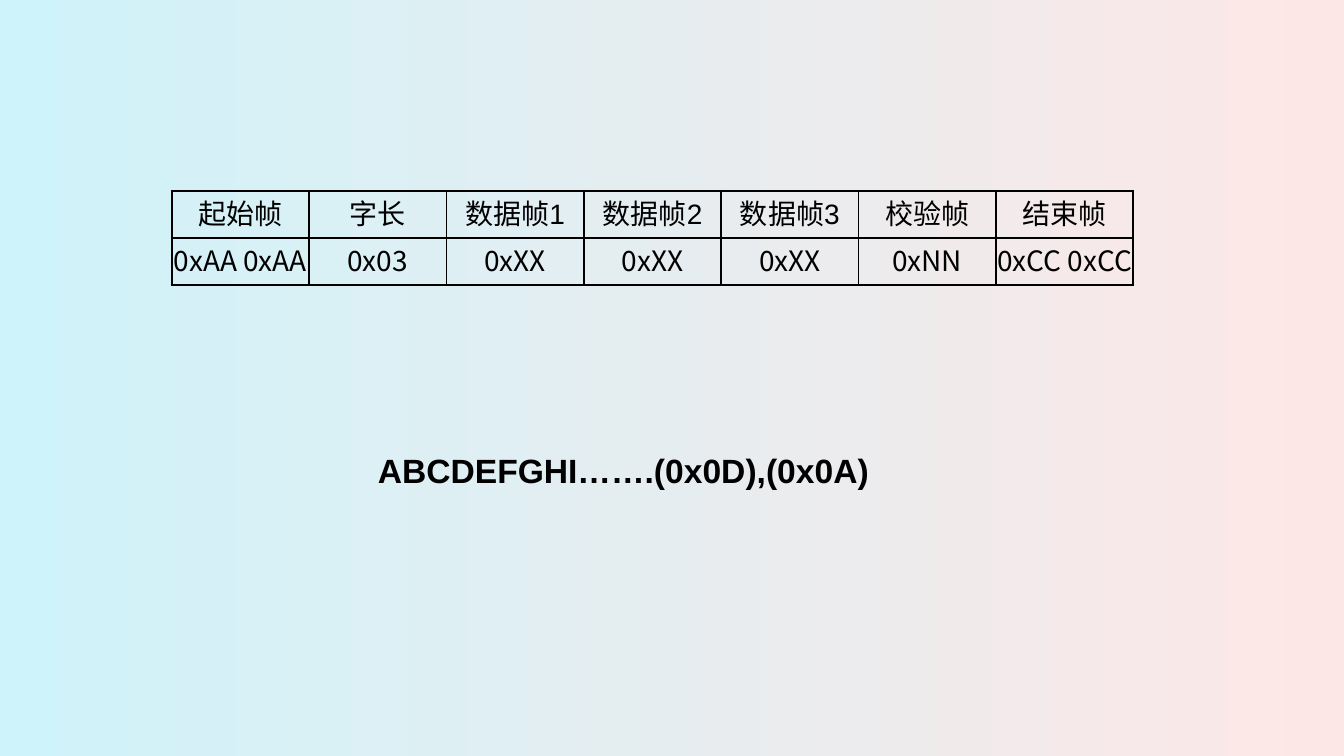
from lxml.etree import SubElement
from pptx import Presentation
from pptx.dml.color import RGBColor
from pptx.enum.text import MSO_ANCHOR, MSO_AUTO_SIZE, PP_ALIGN
from pptx.oxml import parse_xml
from pptx.oxml.ns import nsdecls, qn
from pptx.util import Pt

BLACK = RGBColor(0x00, 0x00, 0x00)
CYAN = RGBColor(0xCF, 0xF3, 0xFA)
PINK = RGBColor(0xFD, 0xE7, 0xE6)
LATIN = "Arial"
HAN = "Noto Sans CJK SC"
HEADS = ["起始帧", "字长", "数据帧1", "数据帧2", "数据帧3", "校验帧", "结束帧"]
BYTES = ["0xAA 0xAA", "0x03", "0xXX", "0xXX", "0xXX", "0xNN", "0xCC 0xCC"]


def write(frame, text, size=20, face=LATIN, bold=False, align=PP_ALIGN.LEFT):
    """Put one formatted line of text into a text frame."""
    line = frame.paragraphs[0]
    line.alignment = align
    run = line.add_run()
    run.text = text
    font = run.font
    font.size, font.name, font.bold = Pt(size), face, bold
    font.color.rgb = BLACK
    SubElement(run._r.get_or_add_rPr(), qn("a:ea")).set("typeface", HAN)


class Deck:
    """Hold the style and the current slide."""

    def __init__(self, slide, edge=1.5):
        """Keep the slide and the table line width."""
        self.slide = slide
        self.edge = edge

    def fade(self, start, end):
        """Fill the background from left to right."""
        fill = self.slide.background.fill
        fill.gradient()
        fill.gradient_angle = 0
        for stop, tone in zip(fill.gradient_stops, (start, end)):
            stop.color.rgb = tone

    def frame(self, cell):
        """Draw all four borders of a cell."""
        props = cell._tc.get_or_add_tcPr()
        for spot, side in enumerate(("lnL", "lnR", "lnT", "lnB")):
            props.insert(spot, parse_xml(
                f'<a:{side} {nsdecls("a")} w="{Pt(self.edge)}"><a:solidFill>'
                f'<a:srgbClr val="{BLACK}"/></a:solidFill></a:{side}>'))

    def table(self, rows, faces, left, top, width, height):
        """Add a ruled table with one font per row."""
        grid = self.slide.shapes.add_table(
            len(rows), len(rows[0]), Pt(left), Pt(top), Pt(width), Pt(height)).table
        grid.first_row = grid.horz_banding = False
        for r, (row, face) in enumerate(zip(rows, faces)):
            for c, text in enumerate(row):
                cell = grid.cell(r, c)
                cell.fill.background()
                cell.vertical_anchor = MSO_ANCHOR.MIDDLE
                cell.margin_left = cell.margin_right = cell.margin_top = Pt(0.75)
                cell.margin_bottom = Pt(3.6)
                write(cell.text_frame, text, face=face, align=PP_ALIGN.CENTER)
                self.frame(cell)

    def label(self, text, left, top, width, height, **style):
        """Add a text box that grows with its text."""
        box = self.slide.shapes.add_textbox(Pt(left), Pt(top), Pt(width), Pt(height))
        box.text_frame.word_wrap = True
        box.text_frame.auto_size = MSO_AUTO_SIZE.SHAPE_TO_FIT_TEXT
        write(box.text_frame, text, **style)


def main():
    """Build and save the slide."""
    show = Presentation()
    show.slide_width, show.slide_height = Pt(960), Pt(540)
    deck = Deck(show.slides.add_slide(show.slide_layouts[6]))
    deck.fade(CYAN, PINK)
    deck.table([HEADS, BYTES], [LATIN, HAN], 122.6, 136.2, 687, 67.2)
    deck.label("ABCDEFGHI…….(0x0D),(0x0A)", 262.8, 318.2, 369.4, 36, size=24, bold=True)
    show.save("out.pptx")


if __name__ == "__main__":
    main()
